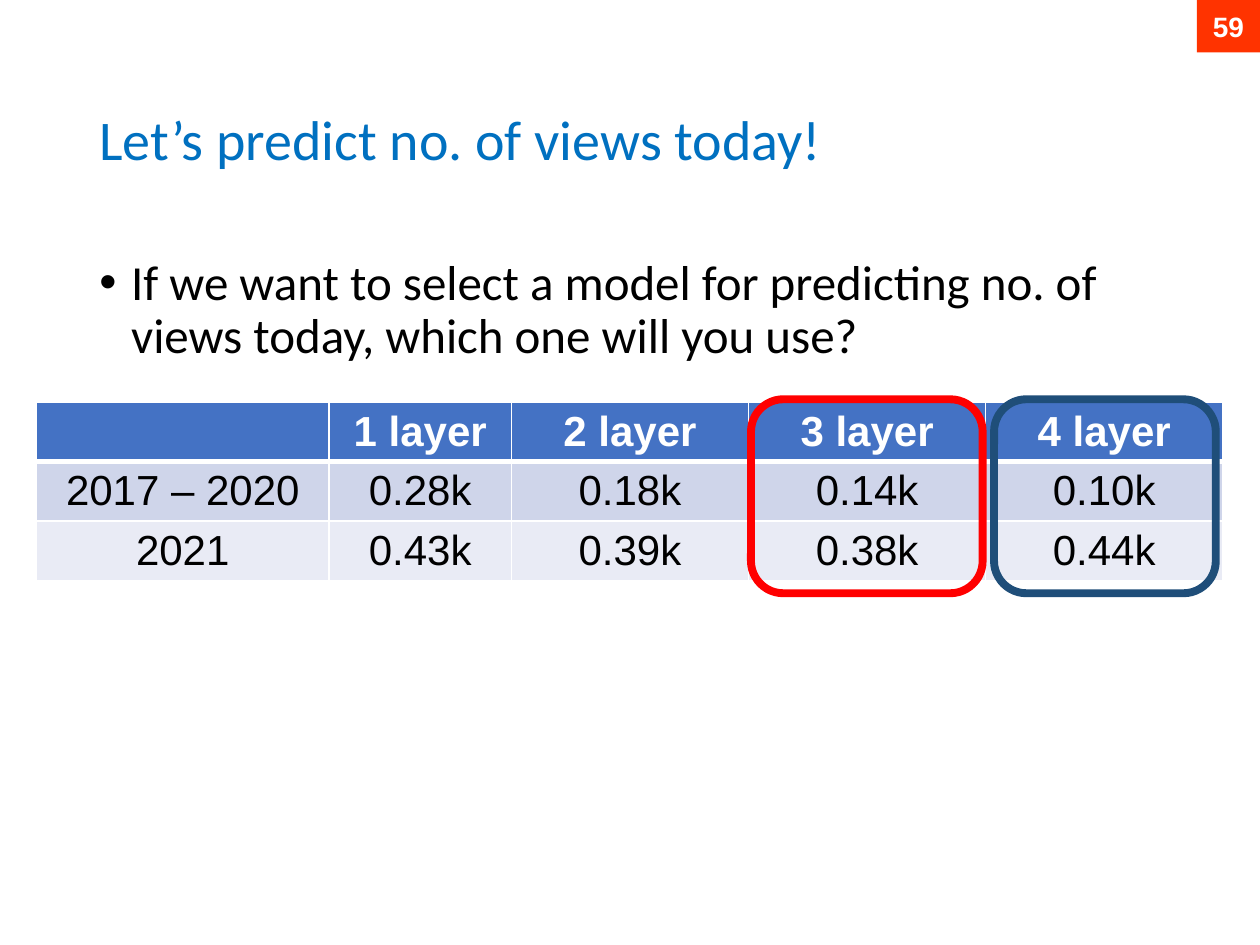
"""Build the slide that compares view predictions across model depths."""
from dataclasses import dataclass

from lxml import etree
from pptx import Presentation
from pptx import util as u
from pptx.dml import color
from pptx.enum import shapes, text
from pptx.oxml import ns

WHITE, BLACK = "FFFFFF", "000000"
ROWS = [
    ["", "1 layer", "2 layer", "3 layer", "4 layer"],
    ["2017 – 2020", "0.28k", "0.18k", "0.14k", "0.10k"],
    ["2021", "0.43k", "0.39k", "0.38k", "0.44k"],
]
ROW_FILLS = ["4472C4", "CFD5EA", "E9EBF5"]
COLUMN_WIDTHS = [5.89, 3.68, 4.78, 4.78, 4.78]
ROW_HEIGHT = 1.04


@dataclass
class Box:
    left: float
    top: float
    width: float
    height: float

    def lengths(self) -> list:
        return [u.Cm(value) for value in (self.left, self.top, self.width, self.height)]


@dataclass
class Highlight:
    box: Box
    line: str


HIGHLIGHTS = [
    Highlight(Box(15.14, 8.05, 4.67, 3.91), "FF0000"),
    Highlight(Box(20.04, 8.05, 4.47, 3.91), "1F4E79"),
]


def rgb(value: str) -> color.RGBColor:
    return color.RGBColor.from_string(value)


def format_runs(paragraph, name: str, size: float, colour: str, bold: bool = False) -> None:
    for run in paragraph.runs:
        font = run.font
        font.name, font.size, font.bold = name, u.Pt(size), bold
        font.color.rgb = rgb(colour)


def fill_placeholder(shape, box: Box, words: str, size: float, colour: str):
    shape.left, shape.top, shape.width, shape.height = box.lengths()
    shape.text_frame.text = words
    paragraph = shape.text_frame.paragraphs[0]
    paragraph.alignment = text.PP_ALIGN.LEFT
    paragraph.line_spacing = 0.9
    paragraph.space_before = u.Pt(0)
    format_runs(paragraph, "Calibri", size, colour)
    return paragraph


def add_borders(cell, bottom: float) -> None:
    properties = cell._tc.get_or_add_tcPr()
    widths = {"a:lnL": 1, "a:lnR": 1, "a:lnT": 1, "a:lnB": bottom}
    for position, (tag, width) in enumerate(widths.items()):
        line = etree.Element(ns.qn(tag), w=str(u.Pt(width)))
        fill = etree.SubElement(line, ns.qn("a:solidFill"))
        etree.SubElement(fill, ns.qn("a:srgbClr"), val=WHITE)
        properties.insert(position, line)


def add_results_table(slide, box: Box) -> None:
    table = slide.shapes.add_table(len(ROWS), len(COLUMN_WIDTHS), *box.lengths()).table
    for column, width in zip(table.columns, COLUMN_WIDTHS):
        column.width = u.Cm(width)
    for row_index, (values, fill) in enumerate(zip(ROWS, ROW_FILLS)):
        header = row_index == 0
        table.rows[row_index].height = u.Cm(ROW_HEIGHT)
        for column_index, value in enumerate(values):
            cell = table.cell(row_index, column_index)
            cell.fill.solid()
            cell.fill.fore_color.rgb = rgb(fill)
            add_borders(cell, 3 if header else 1)
            cell.text_frame.text = value
            paragraph = cell.text_frame.paragraphs[0]
            paragraph.alignment = text.PP_ALIGN.CENTER
            format_runs(paragraph, "Arial", 24, WHITE if header else BLACK, header)


def add_highlight(slide, highlight: Highlight) -> None:
    shape = slide.shapes.add_shape(
        shapes.MSO_SHAPE.ROUNDED_RECTANGLE, *highlight.box.lengths())
    shape.shadow.inherit = False
    shape.fill.background()
    shape.line.color.rgb = rgb(highlight.line)
    shape.line.width = u.Pt(4.5)


def add_page_badge(slide, box: Box, number: str) -> None:
    shape = slide.shapes.add_shape(shapes.MSO_SHAPE.RECTANGLE, *box.lengths())
    shape.shadow.inherit = False
    shape.fill.solid()
    shape.fill.fore_color.rgb = rgb("FF3300")
    shape.line.fill.background()
    frame = shape.text_frame
    frame.text = number
    frame.vertical_anchor = text.MSO_ANCHOR.MIDDLE
    frame.paragraphs[0].alignment = text.PP_ALIGN.CENTER
    format_runs(frame.paragraphs[0], "Arial", 16, WHITE, True)


def main() -> None:
    presentation = Presentation()
    presentation.slide_width, presentation.slide_height = u.Cm(25.4), u.Cm(19.05)
    slide = presentation.slides.add_slide(presentation.slide_layouts[1])

    title, body = slide.placeholders
    fill_placeholder(title, Box(1.75, 1.02, 21.9, 3.68),
                     "Let’s predict no. of views today!", 32, "0070C0")
    title.text_frame.vertical_anchor = text.MSO_ANCHOR.MIDDLE
    question = fill_placeholder(
        body, Box(1.75, 5.08, 21.9, 12.09),
        "If we want to select a model for predicting no. of views today, "
        "which one will you use?", 28, BLACK)
    properties = question._p.get_or_add_pPr()
    properties.set("marL", str(u.Cm(0.64)))
    properties.set("indent", str(u.Cm(-0.64)))

    add_results_table(slide, Box(0.74, 8.1, sum(COLUMN_WIDTHS), ROW_HEIGHT * len(ROWS)))
    for highlight in HIGHLIGHTS:
        add_highlight(slide, highlight)
    add_page_badge(slide, Box(24.13, 0, 1.27, 1.06), "59")
    presentation.save("out.pptx")


if __name__ == "__main__":
    main()
